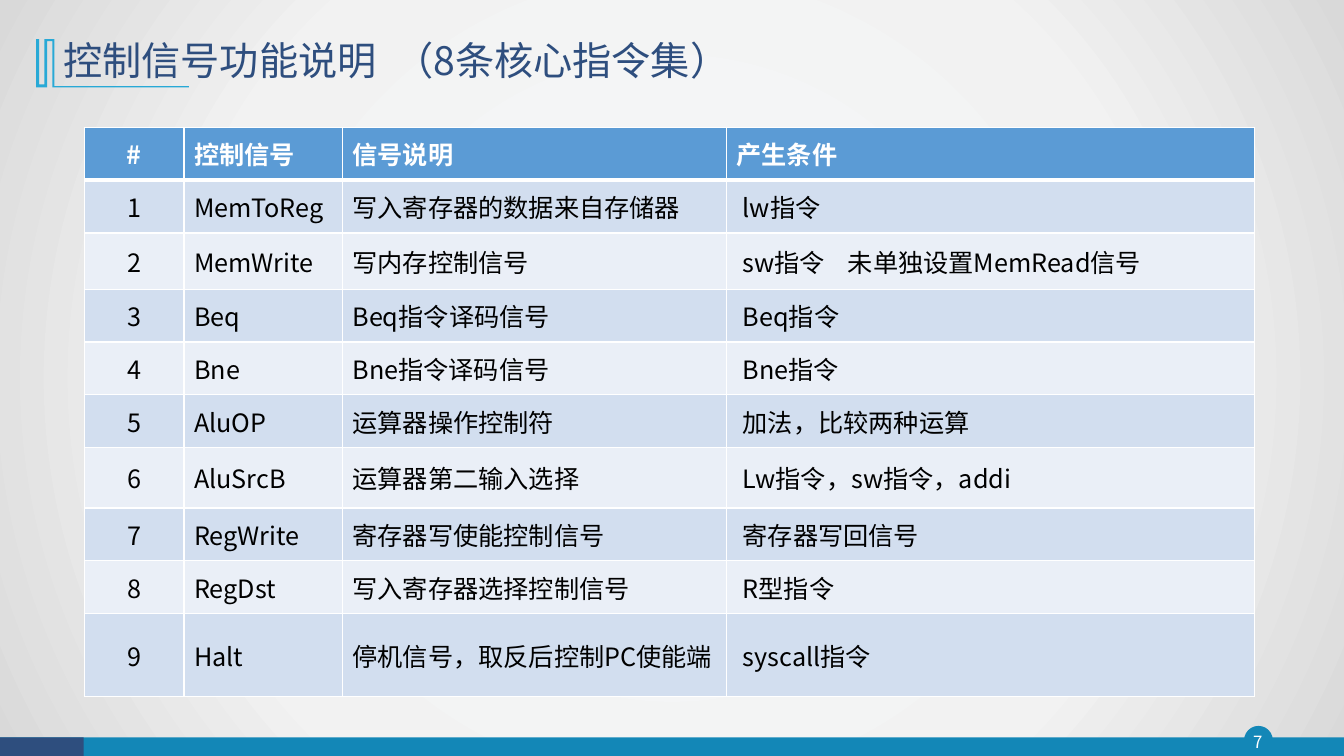
from dataclasses import dataclass

from lxml import etree
from pptx import Presentation
from pptx.dml.color import RGBColor
from pptx.enum.shapes import MSO_SHAPE
from pptx.enum.text import MSO_ANCHOR, PP_ALIGN
from pptx.oxml import parse_xml
from pptx.oxml.ns import nsdecls, qn
from pptx.util import Cm, Pt

RECTANGLE, OVAL = MSO_SHAPE.RECTANGLE, MSO_SHAPE.OVAL
LEFT, CENTER = PP_ALIGN.LEFT, PP_ALIGN.CENTER
MIDDLE = MSO_ANCHOR.MIDDLE


@dataclass(frozen=True)
class Theme:
    font: str = "Noto Sans CJK SC"
    navy: str = "2E4E7E"
    teal: str = "1387B7"
    sky: str = "28A9D6"
    header: str = "5B9BD5"
    bands: tuple = ("D2DEEF", "EAEFF7")
    white: str = "FFFFFF"
    black: str = "000000"
    backdrop: tuple = ((0, "F7FAFD"), (63, "F2F2F2"), (100, "D9D9D9"))
    title_size: int = 28
    table_size: int = 18
    number_size: int = 12


def write_text(frame, text, *, font, size, color, bold=False, align=LEFT,
               spacing=None, tab=None):
    """Fill a text frame with one formatted paragraph; tab is a stop in cm."""
    para = frame.paragraphs[0]
    para.alignment = align
    if spacing:
        para.line_spacing = spacing
    if tab:
        stops = etree.SubElement(para._p.get_or_add_pPr(), qn("a:tabLst"))
        etree.SubElement(stops, qn("a:tab"), pos=str(Cm(tab)), algn="l")
    span = para.add_run()
    span.text = text
    span.font.name = font
    span.font.size = Pt(size)
    span.font.bold = bold
    span.font.color.rgb = RGBColor.from_string(color)
    etree.SubElement(span._r.get_or_add_rPr(), qn("a:ea"), typeface=font)


class SlideBuilder:
    def __init__(self, page, theme):
        self.page = page
        self.theme = theme

    def background(self):
        stops = "".join(
            f'<a:gs pos="{place * 1000}"><a:srgbClr val="{color}"/></a:gs>'
            for place, color in self.theme.backdrop)
        self.page.element.find(qn("p:cSld")).insert(0, parse_xml(
            f'<p:bg {nsdecls("p", "a")}><p:bgPr><a:gradFill><a:gsLst>{stops}</a:gsLst>'
            '<a:path path="circle"><a:fillToRect l="50000" t="50000" r="50000" b="50000"/>'
            '</a:path></a:gradFill><a:effectLst/></p:bgPr></p:bg>'))

    def paint(self, shape, color):
        shape.shadow.inherit = False
        shape.fill.solid()
        shape.fill.fore_color.rgb = RGBColor.from_string(color)
        shape.line.fill.background()

    def shape(self, kind, left, top, width, height, color):
        shape = self.page.shapes.add_shape(
            kind, Cm(left), Cm(top), Cm(width), Cm(height))
        self.paint(shape, color)
        return shape

    def outline(self, points, color):
        """Draw a closed outline from points in hundredths of a centimetre."""
        builder = self.page.shapes.build_freeform(*points[0], scale=Cm(0.01))
        builder.add_line_segments(points[1:], close=True)
        self.paint(builder.convert_to_shape(), color)

    def text(self, text, left, top, width, height, inset=None, **style):
        box = self.page.shapes.add_textbox(
            Cm(left), Cm(top), Cm(width), Cm(height))
        frame = box.text_frame
        frame.word_wrap = True
        frame.vertical_anchor = MIDDLE
        if inset is not None:
            frame.margin_left = frame.margin_right = Cm(inset)
            frame.margin_top = frame.margin_bottom = Cm(inset)
        write_text(frame, text, font=self.theme.font, **style)

    def borders(self, cell, **widths):
        properties = cell._tc.get_or_add_tcPr()
        for side in "LRTB":
            properties.append(parse_xml(
                f'<a:ln{side} {nsdecls("a")} w="{Pt(widths.get(side, 1))}"><a:solidFill>'
                f'<a:srgbClr val="{self.theme.white}"/></a:solidFill></a:ln{side}>'))

    def table(self, rows, left, top, column_widths, row_heights, body_indent, tab):
        theme = self.theme
        table = self.page.shapes.add_table(
            len(rows), len(column_widths), Cm(left), Cm(top),
            Cm(sum(column_widths)), Cm(sum(row_heights))).table
        for column, width in zip(table.columns, column_widths):
            column.width = Cm(width)
        for line, height in zip(table.rows, row_heights):
            line.height = Cm(height)
        for r, row in enumerate(rows):
            is_header = r == 0
            fill = theme.header if is_header else theme.bands[(r - 1) % 2]
            for c, text in enumerate(row):
                cell = table.cell(r, c)
                self.borders(cell, B=3 if is_header else 1, T=3 if r == 1 else 1)
                cell.fill.solid()
                cell.fill.fore_color.rgb = RGBColor.from_string(fill)
                cell.vertical_anchor = MIDDLE
                if c == len(row) - 1 and not is_header:
                    cell.margin_left = Cm(body_indent)
                write_text(cell.text_frame, text, font=theme.font,
                           size=theme.table_size, bold=is_header,
                           color=theme.white if is_header else theme.black,
                           align=CENTER if c == 0 else LEFT,
                           tab=tab if "\t" in text else None)


HEADINGS = ("#", "控制信号", "信号说明", "产生条件")
SIGNALS = (
    ("MemToReg", "写入寄存器的数据来自存储器", "lw指令"),
    ("MemWrite", "写内存控制信号", "sw指令\t未单独设置MemRead信号"),
    ("Beq", "Beq指令译码信号", "Beq指令"),
    ("Bne", "Bne指令译码信号", "Bne指令"),
    ("AluOP", "运算器操作控制符", "加法，比较两种运算"),
    ("AluSrcB", "运算器第二输入选择", "Lw指令，sw指令，addi"),
    ("RegWrite", "寄存器写使能控制信号", "寄存器写回信号"),
    ("RegDst", "写入寄存器选择控制信号", "R型指令"),
    ("Halt", "停机信号，取反后控制PC使能端", "syscall指令"),
)
TITLE_MARK = (
    (137, 99), (137, 217), (476, 217), (476, 220), (132, 220), (132, 104),
    (119, 104), (119, 220), (91, 220), (91, 99), (99, 99), (99, 213),
    (112, 213), (112, 99),
)


def main():
    deck = Presentation()
    deck.slide_width, deck.slide_height = Cm(33.87), Cm(19.05)
    theme = Theme()
    builder = SlideBuilder(deck.slides.add_slide(deck.slide_layouts[6]), theme)
    builder.background()

    # Footer band and page number
    badge = builder.shape(OVAL, 31.37, 18.31, 0.69, 0.69, theme.teal)
    badge.line.color.rgb = RGBColor.from_string(theme.teal)
    badge.line.width = Pt(1)
    builder.shape(RECTANGLE, 0, 18.58, 33.87, 0.47, theme.teal)
    builder.shape(RECTANGLE, 0, 18.58, 2.11, 0.47, theme.navy)
    builder.text("7", 31.29, 18.31, 0.81, 0.79, inset=0, align=CENTER,
                 size=theme.number_size, color=theme.white)

    # Title with its corner mark
    builder.outline(TITLE_MARK, theme.sky)
    builder.text("控制信号功能说明\t（8条核心指令集）", 1.35, 0.71, 29.21, 1.73,
                 size=theme.title_size, color=theme.navy, spacing=0.9, tab=8.34)

    # Control signal table; the last row holds two lines of text
    rows = [HEADINGS] + [(str(n), *signal) for n, signal in enumerate(SIGNALS, 1)]
    heights = [1.33] * len(rows)
    heights[2], heights[6], heights[-1] = 1.42, 1.52, 2.09
    builder.table(rows, 2.13, 3.21, (2.51, 3.99, 9.68, 13.31), heights,
                  body_indent=0.41, tab=2.65)

    deck.save("out.pptx")


if __name__ == "__main__":
    main()
